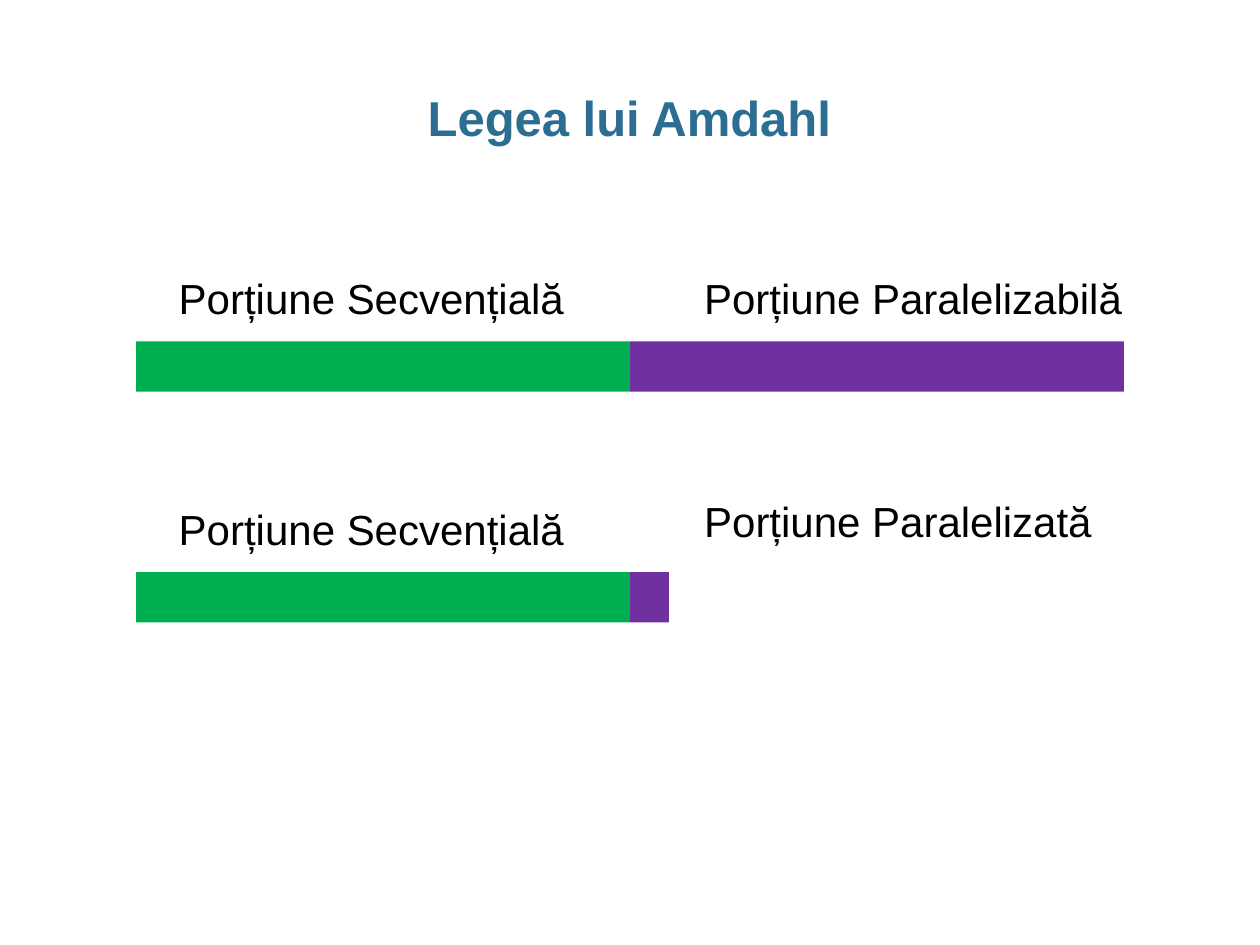
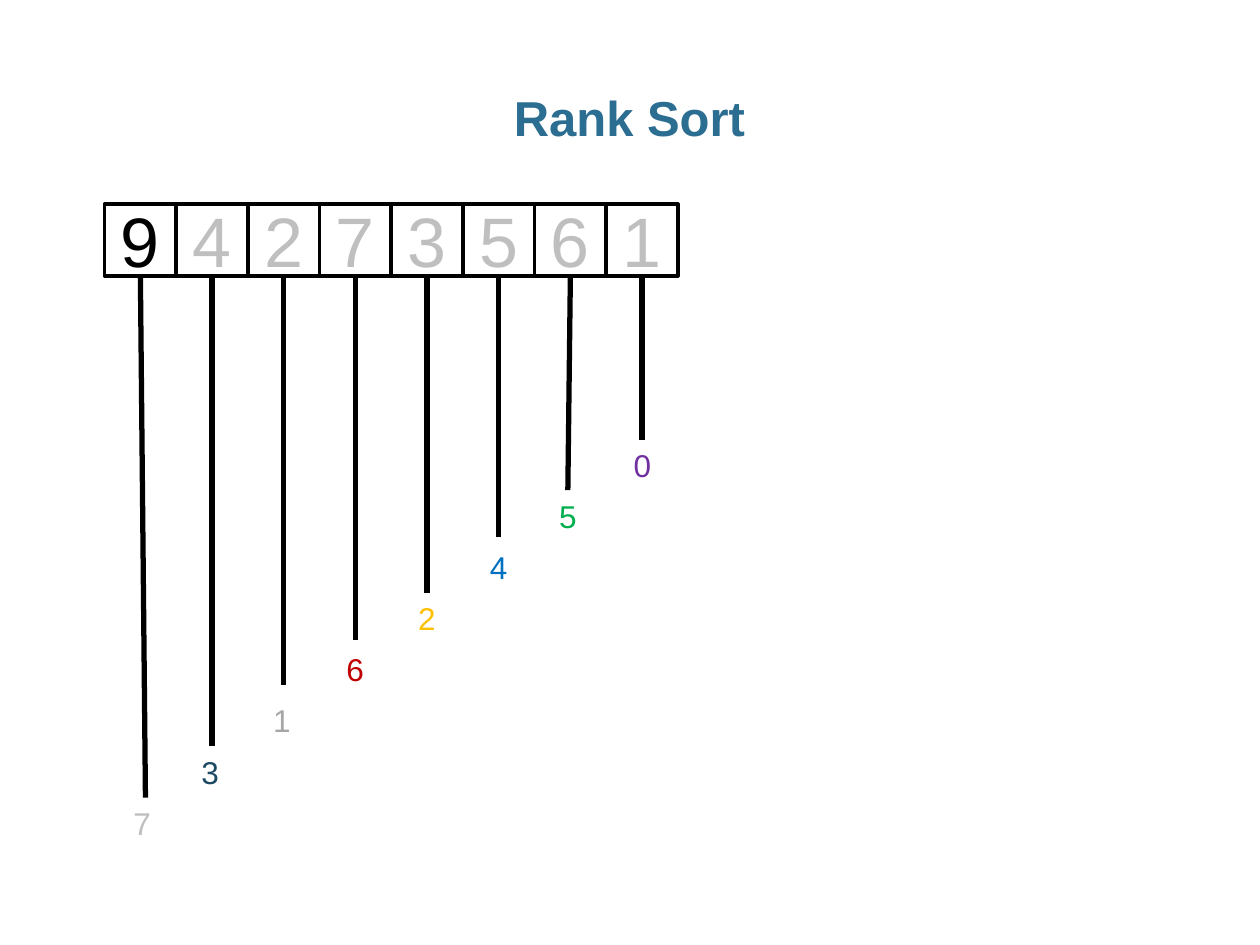
from dataclasses import dataclass

from lxml import etree
from pptx import Presentation
from pptx.dml.color import RGBColor
from pptx.enum.shapes import MSO_CONNECTOR, MSO_SHAPE
from pptx.enum.text import MSO_ANCHOR, MSO_AUTO_SIZE, PP_ALIGN
from pptx.oxml.ns import qn
from pptx.presentation import Presentation as Deck
from pptx.shapes.autoshape import Shape
from pptx.slide import Slide
from pptx.text.text import TextFrame
from pptx.util import Inches, Pt

RECTANGLE = MSO_SHAPE.RECTANGLE
STRAIGHT = MSO_CONNECTOR.STRAIGHT
TOP, MIDDLE = MSO_ANCHOR.TOP, MSO_ANCHOR.MIDDLE
CENTER, LEFT = PP_ALIGN.CENTER, PP_ALIGN.LEFT
FIXED_SIZE, FIT_TEXT = MSO_AUTO_SIZE.NONE, MSO_AUTO_SIZE.SHAPE_TO_FIT_TEXT
TITLE_ONLY = 5


@dataclass(frozen=True)
class Theme:
    font: str = "Arial"
    title: str = "2C6D92"
    ink: str = "000000"
    muted: str = "BFBFBF"
    gray: str = "A6A6A6"
    navy: str = "1D4A63"
    red: str = "C00000"
    amber: str = "FFC000"
    blue: str = "0070C0"
    green: str = "00B050"
    purple: str = "7030A0"
    title_size: int = 28
    portion_size: int = 24
    cell_size: int = 40
    rank_size: int = 18
    cell_border: int = 2
    stem_width: int = 3


THEME = Theme()


@dataclass(frozen=True)
class Portion:
    label: str
    label_left: float
    label_top: float
    label_width: float
    bar_left: float
    bar_top: float
    bar_width: float
    color: str


@dataclass(frozen=True)
class RankedValue:
    value: int
    rank: int
    color: str
    rank_left: float
    stem_end: float
    stem_lean: float = 0


# Amdahl's law: time before and after parallelizing
BAR_HEIGHT = 0.4
SEQUENTIAL = "Porțiune Secvențială"
PORTIONS = [
    Portion(SEQUENTIAL, 1.32, 2.11, 3.29, 1.08, 2.71, 3.92, THEME.green),
    Portion("Porțiune Paralelizabilă", 5.49, 2.11, 3.56, 5, 2.71, 3.92, THEME.purple),
    Portion(SEQUENTIAL, 1.32, 3.95, 3.29, 1.08, 4.54, 3.92, THEME.green),
    Portion("Porțiune Paralelizată", 5.49, 3.88, 3.31, 5, 4.54, 0.31, THEME.purple),
]

# Rank sort: each value of the array and its rank
ARRAY_LEFT, ARRAY_RIGHT, ARRAY_TOP = 0.83, 5.38, 1.62
FIRST_RANK_TOP, LAST_RANK_TOP = 6.33, 3.49
RANKED_VALUES = [
    RankedValue(9, 7, THEME.muted, 0.96, 6.33, 0.04),
    RankedValue(4, 3, THEME.navy, 1.5, 5.92),
    RankedValue(2, 1, THEME.gray, 2.07, 5.44),
    RankedValue(7, 6, THEME.red, 2.65, 5.08),
    RankedValue(3, 2, THEME.amber, 3.22, 4.71),
    RankedValue(5, 4, THEME.blue, 3.79, 4.26),
    RankedValue(6, 5, THEME.green, 4.34, 3.89, -0.02),
    RankedValue(1, 0, THEME.purple, 4.93, 3.49),
]


def write(frame: TextFrame, text: str, size: int, color: str,
          align: PP_ALIGN = LEFT, bold: bool = False) -> None:
    frame.text = text
    paragraph = frame.paragraphs[0]
    paragraph.alignment = align
    font = paragraph.runs[0].font
    font.name, font.size, font.bold = THEME.font, Pt(size), bold
    font.color.rgb = RGBColor.from_string(color)


def add_titled_slide(deck: Deck, text: str) -> Slide:
    slide = deck.slides.add_slide(deck.slide_layouts[TITLE_ONLY])
    title = slide.shapes.title
    title.left, title.top = Inches(0.34), Inches(0.68)
    title.width, title.height = Inches(9.31), Inches(0.5)
    frame = title.text_frame
    frame.auto_size, frame.vertical_anchor = FIXED_SIZE, TOP
    frame.margin_left = frame.margin_right = 0
    frame.margin_top = frame.margin_bottom = Inches(0.05)
    write(frame, text, THEME.title_size, THEME.title, CENTER, bold=True)
    frame.paragraphs[0].line_spacing = 0.95
    return slide


def add_label(slide: Slide, text: str, left: float, top: float, width: float,
              height: float, size: int, color: str) -> None:
    label = slide.shapes.add_textbox(
        Inches(left), Inches(top), Inches(width), Inches(height))
    write(label.text_frame, text, size, color)
    label.text_frame.word_wrap = False
    label.text_frame.auto_size = FIT_TEXT


def add_rectangle(slide: Slide, left: float, top: float,
                  width: float, height: float) -> Shape:
    rectangle = slide.shapes.add_shape(
        RECTANGLE, Inches(left), Inches(top), Inches(width), Inches(height))
    rectangle.shadow.inherit = False
    return rectangle


def add_bar(slide: Slide, portion: Portion) -> None:
    bar = add_rectangle(slide, portion.bar_left, portion.bar_top,
                        portion.bar_width, BAR_HEIGHT)
    bar.fill.solid()
    bar.fill.fore_color.rgb = RGBColor.from_string(portion.color)
    bar.line.fill.background()


def add_cell(slide: Slide, value: int, left: float, side: float, color: str) -> None:
    cell = add_rectangle(slide, left, ARRAY_TOP, side, side)
    cell.fill.background()
    cell.line.color.rgb = RGBColor.from_string(THEME.ink)
    cell.line.width = Pt(THEME.cell_border)
    cell.text_frame.vertical_anchor = MIDDLE
    write(cell.text_frame, str(value), THEME.cell_size, color, CENTER)


def add_stem(slide: Slide, start_x: float, start_y: float,
             end_x: float, end_y: float) -> None:
    stem = slide.shapes.add_connector(
        STRAIGHT, Inches(start_x), Inches(start_y), Inches(end_x), Inches(end_y))
    stem.line.color.rgb = RGBColor.from_string(THEME.ink)
    stem.line.width = Pt(THEME.stem_width)
    etree.SubElement(stem._element.spPr, qn("a:effectLst"))


def build_amdahl(deck: Deck) -> None:
    slide = add_titled_slide(deck, "Legea lui Amdahl")
    for portion in PORTIONS:
        add_bar(slide, portion)
    for portion in PORTIONS:
        add_label(slide, portion.label, portion.label_left, portion.label_top,
                  portion.label_width, 0.5, THEME.portion_size, THEME.ink)


def build_rank_sort(deck: Deck) -> None:
    slide = add_titled_slide(deck, "Rank Sort")
    side = (ARRAY_RIGHT - ARRAY_LEFT) / len(RANKED_VALUES)
    rank_step = (LAST_RANK_TOP - FIRST_RANK_TOP) / (len(RANKED_VALUES) - 1)

    # Array cells, with the first value highlighted
    for index, item in enumerate(RANKED_VALUES):
        color = THEME.muted if index else THEME.ink
        add_cell(slide, item.value, ARRAY_LEFT + index * side, side, color)

    # Ranks, rising from left to right
    for index, item in enumerate(RANKED_VALUES):
        add_label(slide, str(item.rank), item.rank_left,
                  FIRST_RANK_TOP + index * rank_step, 0.34, 0.4,
                  THEME.rank_size, item.color)

    # Stems from each cell down to its rank
    for index, item in enumerate(RANKED_VALUES):
        center = ARRAY_LEFT + (index + 0.5) * side
        add_stem(slide, center, ARRAY_TOP + side,
                 center + item.stem_lean, item.stem_end)


def main() -> None:
    deck = Presentation()
    deck.slide_width, deck.slide_height = Inches(10), Inches(7.5)
    build_amdahl(deck)
    build_rank_sort(deck)
    deck.save("out.pptx")


if __name__ == "__main__":
    main()
